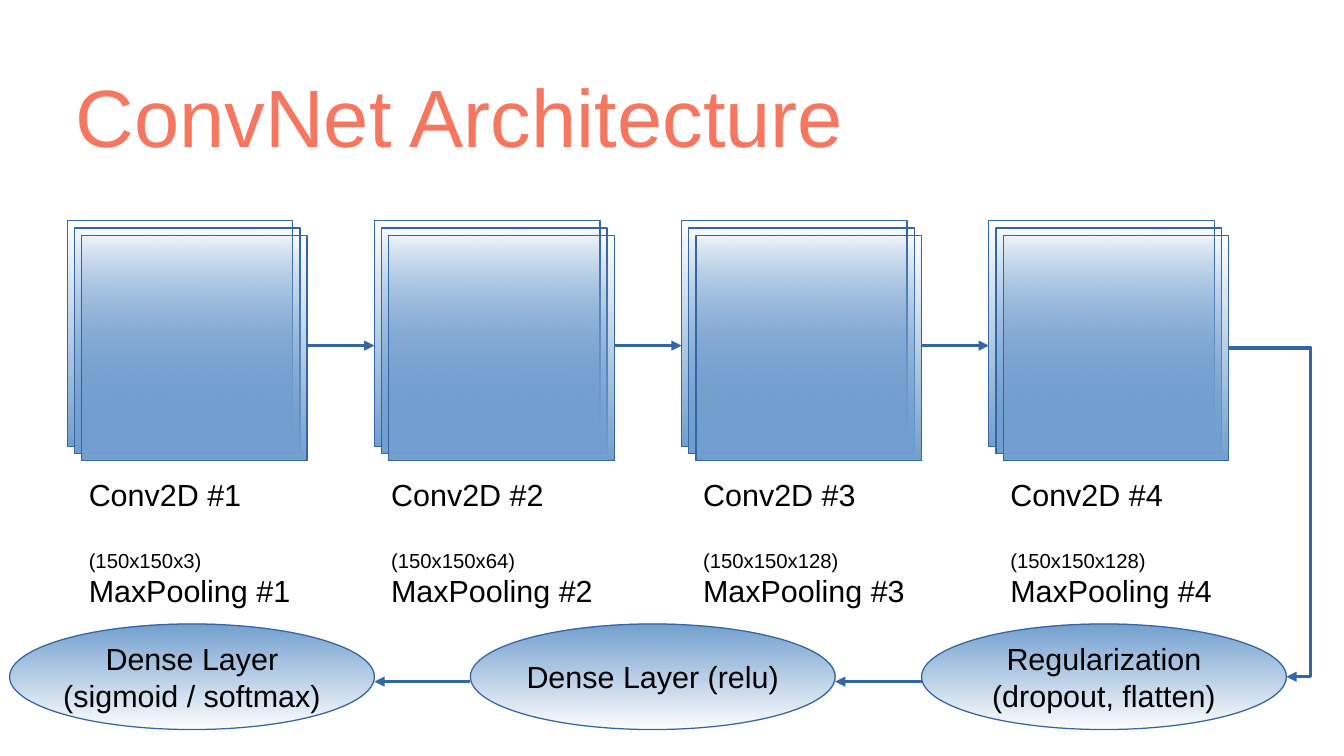
"""Build the ConvNet architecture slide."""
from lxml.etree import SubElement
from pptx import Presentation
from pptx.dml.color import RGBColor
from pptx.enum.shapes import MSO_CONNECTOR, MSO_SHAPE
from pptx.enum.text import MSO_ANCHOR, MSO_AUTO_SIZE, PP_ALIGN
from pptx.oxml.ns import qn
from pptx.util import Cm, Pt

TITLE = "ConvNet Architecture"
STAGES = [
    (1.6, "Conv2D #1", "(150x150x3)", "MaxPooling #1"),
    (7.9, "Conv2D #2", "(150x150x64)", "MaxPooling #2"),
    (14.4, "Conv2D #3", "(150x150x128)", "MaxPooling #3"),
    (20.8, "Conv2D #4", "(150x150x128)", "MaxPooling #4"),
]
DENSE = [
    (19.2, ["Regularization", "(dropout, flatten)"]),
    (9.8, ["Dense Layer (relu)"]),
    (0.2, ["Dense Layer", "(sigmoid / softmax)"]),
]
FONT, CORAL, BLACK, FILL, LINE = "Arial", "F77660", "000000", "729FCF", "3465A4"
STACK_LEFT, STACK_TOP, PITCH, SIDE, OFFSET, LAYERS = 1.4, 4.6, 6.4, 4.7, 0.15, 3
STACK_WIDTH = SIDE + OFFSET * (LAYERS - 1)
OVAL_TOP, OVAL_WIDTH, OVAL_HEIGHT = 13, 7.6, 2.2
FLOW_Y, RETURN_Y = 7.2, 14.2


def rgb(value):
    return RGBColor.from_string(value)


def style(p, size, color=BLACK, align=PP_ALIGN.LEFT):
    p.alignment = align
    p.font.name, p.font.size = FONT, Pt(size)
    p.font.color.rgb = rgb(color)


def add_faded(s, kind, x, y, w, h, angle):
    sp = s.shapes.add_shape(kind, Cm(x), Cm(y), Cm(w), Cm(h))
    sp.shadow.inherit = False
    sp.fill.gradient()
    sp.fill.gradient_angle = angle
    for position, stop in enumerate(sp.fill.gradient_stops):
        stop.position = position
        stop.color.rgb = rgb(FILL)
    clear = sp.element.xpath(".//a:gs/a:srgbClr")[-1]
    SubElement(clear, qn("a:alpha"), val="0")
    sp.line.color.rgb = rgb(LINE)
    sp.line.width = Pt(0)
    return sp


def add_arrow(s, x1, y1, x2, y2, kind=MSO_CONNECTOR.STRAIGHT):
    c = s.shapes.add_connector(kind, Cm(x1), Cm(y1), Cm(x2), Cm(y2))
    c.line.color.rgb = rgb(LINE)
    c.line.width = Pt(0)
    SubElement(c.line._get_or_add_ln(), qn("a:tailEnd"), type="triangle")
    SubElement(c.element.spPr, qn("a:effectLst"))
    return c


def add_stack(s, left):
    for i in range(LAYERS):
        shift = i * OFFSET
        add_faded(s, MSO_SHAPE.RECTANGLE, left + shift, STACK_TOP + shift, SIDE, SIDE, 90)


def add_label(s, left, lines):
    tf = s.shapes.add_textbox(Cm(left), Cm(9.8), Cm(SIDE), Cm(2.4)).text_frame
    tf.word_wrap = True
    tf.margin_right = 0
    tf.text = "\n".join(lines)
    for p, size in zip(tf.paragraphs, (18, 12, 18)):
        style(p, size)
    tf.paragraphs[1].space_before = Pt(20.7)


def add_oval(s, left, lines):
    sp = add_faded(s, MSO_SHAPE.OVAL, left, OVAL_TOP, OVAL_WIDTH, OVAL_HEIGHT, 270)
    tf = sp.text_frame
    tf.word_wrap = False
    tf.vertical_anchor = MSO_ANCHOR.MIDDLE
    tf.text = "\n".join(lines)
    for p in tf.paragraphs:
        style(p, 18, align=PP_ALIGN.CENTER)


def main():
    prs = Presentation()
    prs.slide_width, prs.slide_height = Cm(28), Cm(15.75)
    s = prs.slides.add_slide(prs.slide_layouts[5])

    title = s.shapes.title
    title.left, title.top, title.width, title.height = Cm(1.32), Cm(1.25), Cm(19.5), Cm(2.13)
    tf = title.text_frame
    tf.text = TITLE
    tf.auto_size = MSO_AUTO_SIZE.NONE
    tf.vertical_anchor = MSO_ANCHOR.TOP
    style(tf.paragraphs[0], 48, CORAL)

    stack_lefts = [STACK_LEFT + i * PITCH for i in range(len(STAGES))]
    for left, (label_left, *lines) in zip(stack_lefts, STAGES):
        add_stack(s, left)
        add_label(s, label_left, lines)
    for left, following in zip(stack_lefts, stack_lefts[1:]):
        add_arrow(s, left + STACK_WIDTH, FLOW_Y, following, FLOW_Y)

    for left, lines in DENSE:
        add_oval(s, left, lines)
    for (left, _), (following, _) in zip(DENSE, DENSE[1:]):
        add_arrow(s, left, RETURN_Y, following + OVAL_WIDTH, RETURN_Y)

    elbow = add_arrow(s, stack_lefts[-1] + STACK_WIDTH, 7.25, DENSE[0][0] + OVAL_WIDTH,
                      OVAL_TOP + OVAL_HEIGHT / 2, MSO_CONNECTOR.ELBOW)
    bend = elbow.element.xpath(".//a:avLst")[0]
    SubElement(bend, qn("a:gd"), name="adj1", fmla="val 141800")

    prs.save("out.pptx")


if __name__ == "__main__":
    main()
